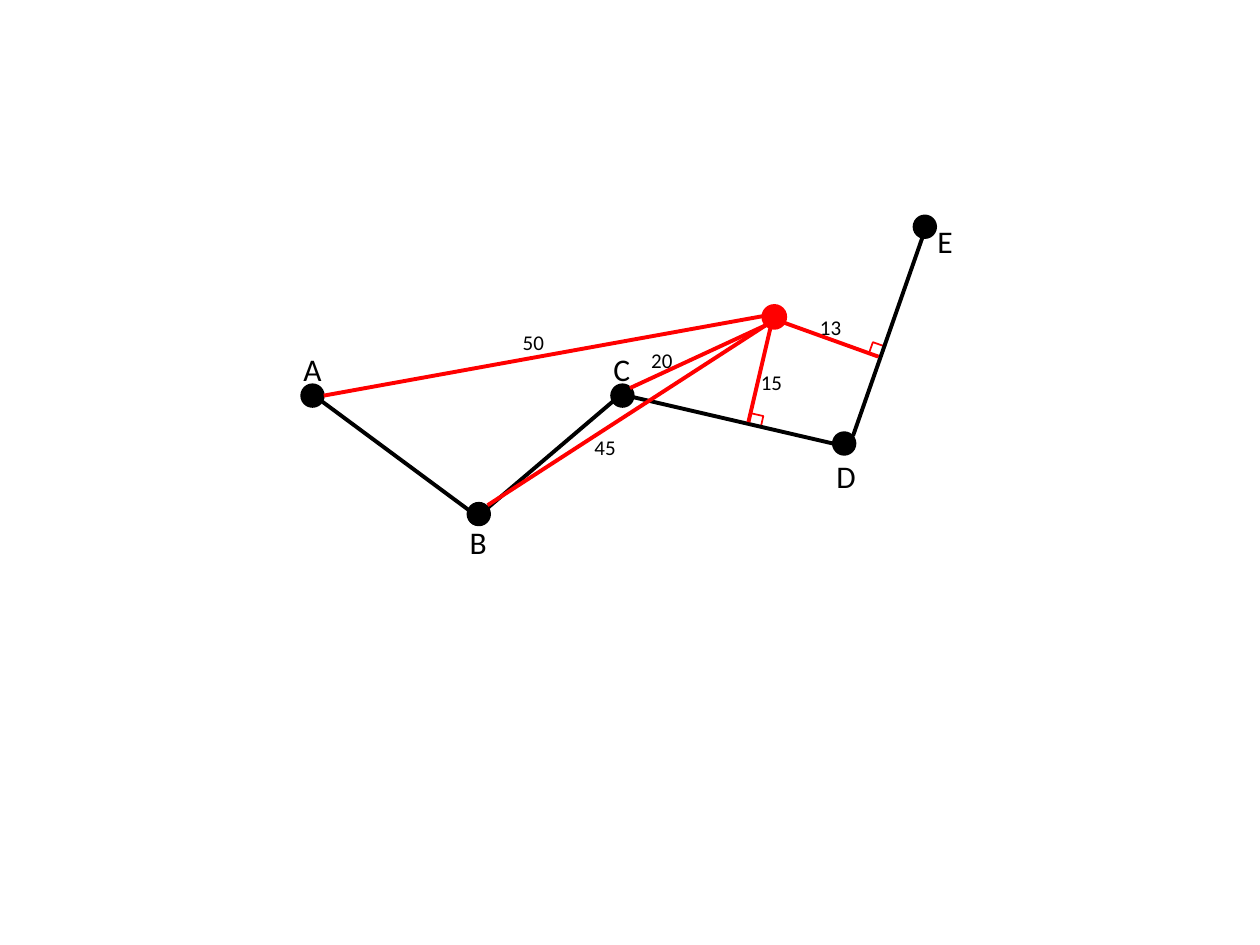
from dataclasses import dataclass

from lxml.etree import SubElement
from pptx import Presentation
from pptx.dml.color import RGBColor
from pptx.enum.shapes import MSO_CONNECTOR as Connector, MSO_SHAPE as Shape
from pptx.enum.text import MSO_AUTO_SIZE as AutoSize
from pptx.oxml.ns import qn
from pptx.util import Inches, Pt


@dataclass(frozen=True)
class Theme:
    black: RGBColor = RGBColor(0, 0, 0)
    red: RGBColor = RGBColor(255, 0, 0)
    font: str = "Calibri"
    vertex_size: int = 18
    distance_size: int = 12
    outline: float = 1
    stroke: float = 2.25


@dataclass(frozen=True)
class Dot:
    left: float
    top: float
    color: RGBColor
    diameter: float = 0.18


@dataclass(frozen=True)
class RightAngle:
    left: float
    top: float
    rotation: float


@dataclass(frozen=True)
class Segment:
    start: tuple[float, float]
    end: tuple[float, float]
    color: RGBColor


@dataclass(frozen=True)
class Label:
    text: str
    left: float
    top: float
    width: float
    height: float
    size: int


THEME = Theme()

QUERY_POINT = Dot(6.05, 2.42, THEME.red, 0.19)
VERTICES = [
    Dot(left, top, THEME.black)
    for left, top in [(2.39, 3.05), (3.71, 3.99), (4.85, 3.05), (6.61, 3.43), (7.25, 1.71)]
]
RIGHT_ANGLES = [RightAngle(6.91, 2.73, 19.4), RightAngle(5.95, 3.29, 12.7)]
POLYLINE = [
    Segment(start, end, THEME.black)
    for start, end in [
        ((2.48, 3.13), (3.79, 4.1)),
        ((3.79, 4.1), (4.93, 3.13)),
        ((4.93, 3.13), (6.61, 3.52)),
        ((6.77, 3.46), (7.34, 1.83)),
    ]
]
DISTANCES = [
    Segment(start, end, THEME.red)
    for start, end in [
        ((6.08, 2.58), (3.87, 4.01)),
        ((6.08, 2.58), (5, 3.08)),
        ((6.05, 2.51), (2.57, 3.14)),
        ((6.12, 2.58), (5.94, 3.35)),
        ((6.22, 2.56), (6.97, 2.83)),
    ]
]
VERTEX_LABELS = [
    Label(text, left, top, width, 0.4, THEME.vertex_size)
    for text, left, top, width in [
        ("A", 2.31, 2.73, 0.35),
        ("B", 3.63, 4.1, 0.34),
        ("C", 4.77, 2.73, 0.34),
        ("D", 6.54, 3.58, 0.36),
        ("E", 7.34, 1.71, 0.32),
    ]
]
DISTANCE_LABELS = [
    Label(text, left, top, 0.37, 0.3, THEME.distance_size)
    for text, left, top in [
        ("20", 5.07, 2.71),
        ("45", 4.62, 3.4),
        ("50", 4.05, 2.57),
        ("15", 5.94, 2.88),
        ("13", 6.41, 2.45),
    ]
]


def draw_right_angle(slide, mark: RightAngle) -> None:
    shape = slide.shapes.add_shape(
        Shape.RECTANGLE, Inches(mark.left), Inches(mark.top), Inches(0.1), Inches(0.09)
    )
    shape.rotation = mark.rotation
    shape.shadow.inherit = False
    shape.fill.background()
    shape.line.color.rgb = THEME.red
    shape.line.width = Pt(THEME.outline)


def draw_dot(slide, dot: Dot) -> None:
    diameter = Inches(dot.diameter)
    shape = slide.shapes.add_shape(
        Shape.OVAL, Inches(dot.left), Inches(dot.top), diameter, diameter
    )
    shape.shadow.inherit = False
    shape.fill.solid()
    shape.fill.fore_color.rgb = dot.color
    shape.line.color.rgb = dot.color
    shape.line.width = Pt(THEME.outline)


def draw_segment(slide, segment: Segment) -> None:
    ends = [Inches(value) for value in segment.start + segment.end]
    connector = slide.shapes.add_connector(Connector.STRAIGHT, *ends)
    connector.line.color.rgb = segment.color
    connector.line.width = Pt(THEME.stroke)
    SubElement(connector._element.spPr, qn("a:effectLst"))


def draw_label(slide, label: Label) -> None:
    box = slide.shapes.add_textbox(
        Inches(label.left), Inches(label.top), Inches(label.width), Inches(label.height)
    )
    frame = box.text_frame
    frame.word_wrap = False
    frame.auto_size = AutoSize.SHAPE_TO_FIT_TEXT
    paragraph = frame.paragraphs[0]
    paragraph.text = label.text
    paragraph.font.name = THEME.font
    paragraph.font.size = Pt(label.size)
    paragraph.font.color.rgb = THEME.black


def main() -> None:
    presentation = Presentation()
    presentation.slide_width = Inches(10)
    presentation.slide_height = Inches(7.5)
    slide = presentation.slides.add_slide(presentation.slide_layouts[6])

    for mark in RIGHT_ANGLES:
        draw_right_angle(slide, mark)
    draw_dot(slide, QUERY_POINT)
    for segment in POLYLINE:
        draw_segment(slide, segment)
    for vertex in VERTICES:
        draw_dot(slide, vertex)
    for segment in DISTANCES:
        draw_segment(slide, segment)
    for label in VERTEX_LABELS + DISTANCE_LABELS:
        draw_label(slide, label)

    presentation.save("out.pptx")


if __name__ == "__main__":
    main()
